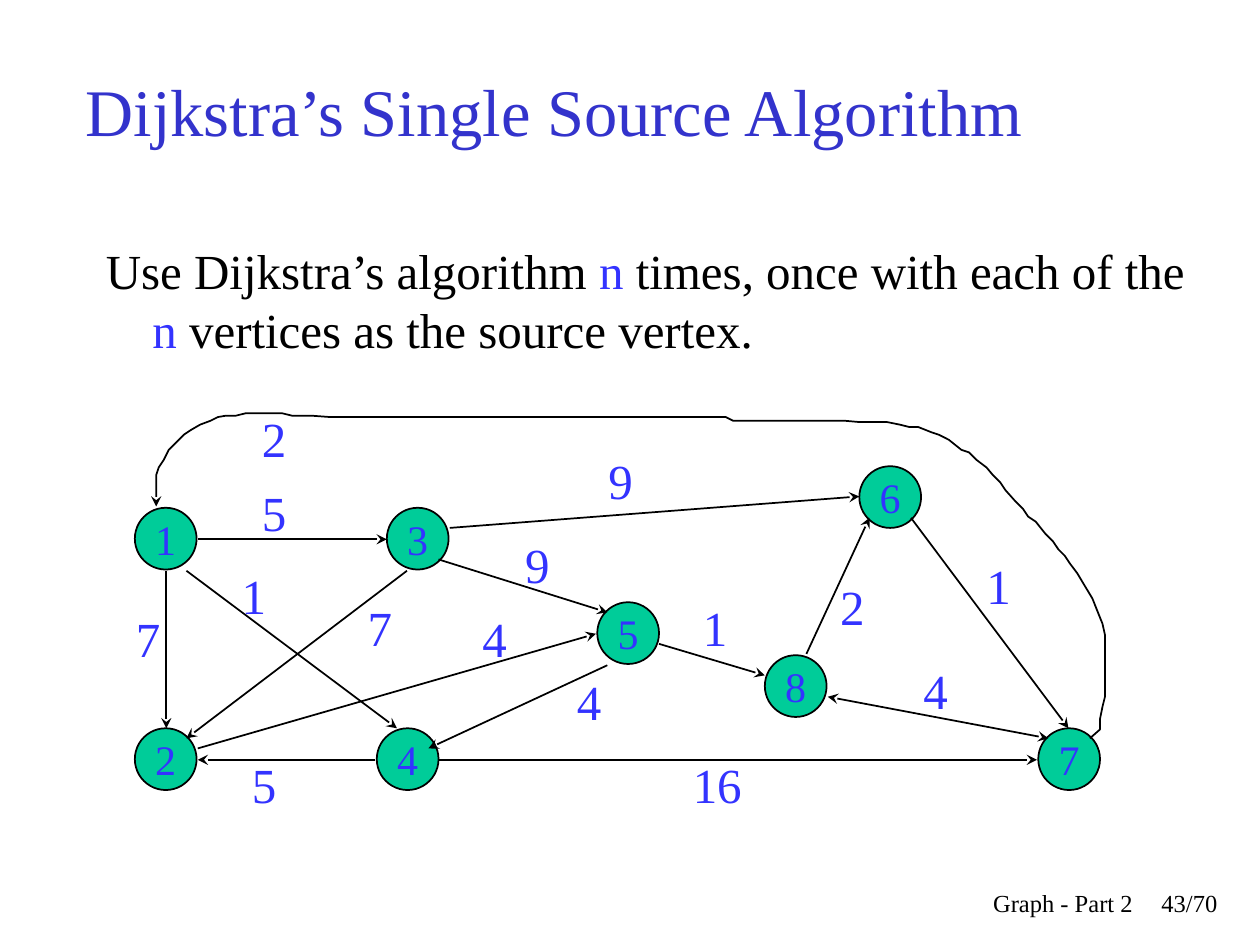
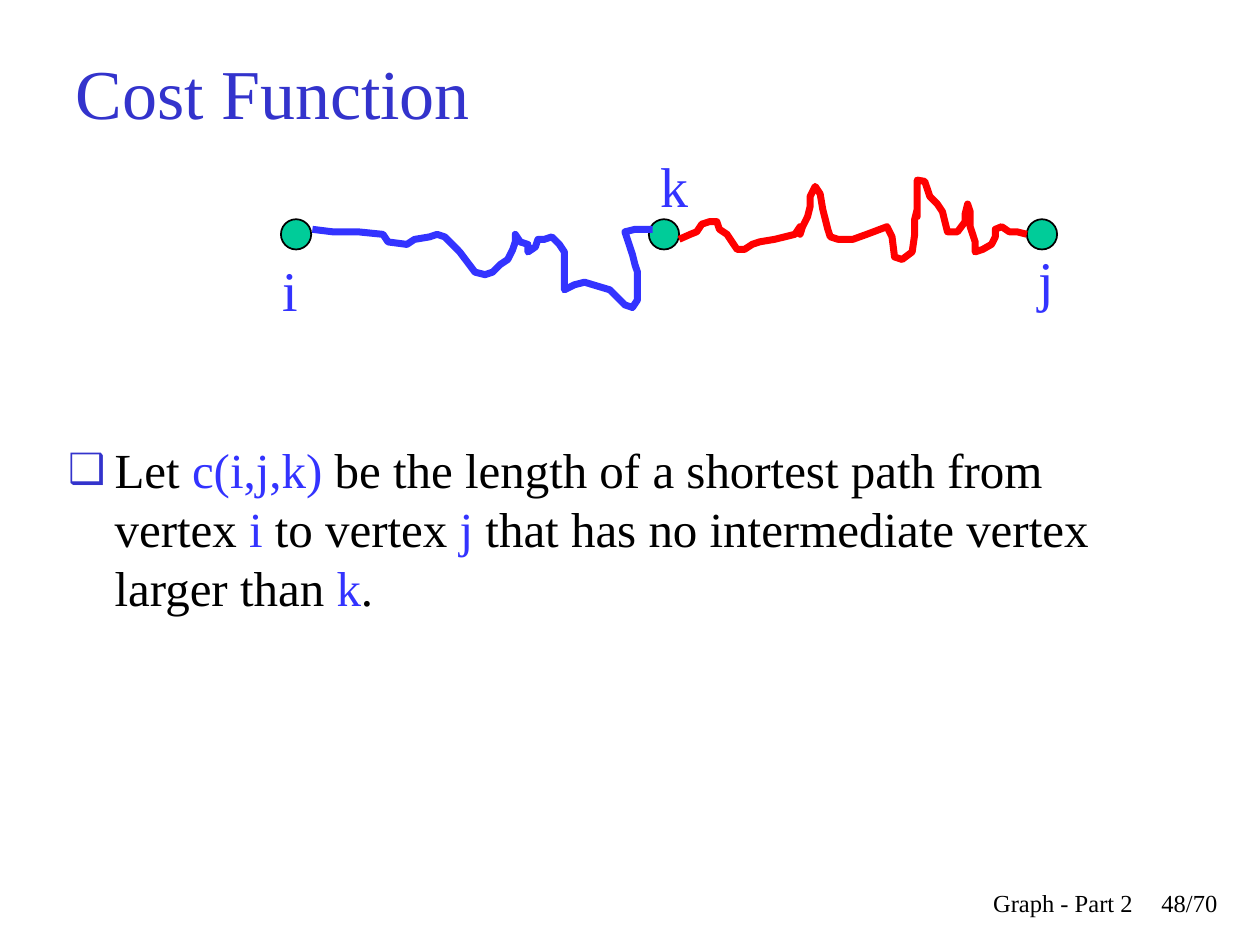
from itertools import cycle

from pptx import Presentation
from pptx.dml.color import RGBColor
from pptx.enum.shapes import MSO_CONNECTOR, MSO_SHAPE
from pptx.enum.text import MSO_ANCHOR, MSO_AUTO_SIZE, PP_ALIGN
from pptx.oxml.ns import qn
from pptx.oxml.xmlchemy import OxmlElement
from pptx.util import Inches, Pt

# Shared look
FONT = "Times New Roman"
BLACK = RGBColor(0x00, 0x00, 0x00)
TITLE_BLUE = RGBColor(0x33, 0x33, 0xCC)
BLUE = RGBColor(0x33, 0x33, 0xFF)
GREEN = RGBColor(0x00, 0xCC, 0x99)
RED = RGBColor(0xFF, 0x00, 0x00)
VERTEX_SIZE = 0.49
DOT_SIZE = 0.24

# Vertices of the graph: name -> left, top
VERTICES = {
    "1": (1.07, 4.03), "2": (1.07, 5.78), "3": (3.07, 4.03), "4": (2.99, 5.78),
    "5": (4.74, 4.78), "6": (6.82, 3.7), "7": (8.24, 5.78), "8": (6.07, 5.2),
}

# Edges: start, end, with the arrowhead at the end
EDGES = [
    ((1.32, 4.53), (1.32, 5.78)), ((2.98, 6.03), (1.57, 6.03)),
    ((1.57, 4.28), (3.07, 4.28)), ((1.48, 4.53), (3.15, 5.78)),
    ((3.23, 4.53), (1.48, 5.86)), ((3.48, 4.44), (4.82, 4.86)),
    ((1.57, 5.94), (4.73, 5.03)), ((4.82, 5.28), (3.4, 5.94)),
    ((3.48, 6.03), (8.23, 6.03)), ((5.23, 5.11), (6.07, 5.36)),
    ((3.57, 4.19), (6.82, 3.94)), ((7.23, 4.11), (8.48, 5.78)),
    ((6.4, 5.19), (6.9, 4.11)),
]
TWO_WAY_EDGE = ((6.57, 5.53), (8.32, 5.86))

# Edge weights: weight, left, top
WEIGHTS = [
    ("5", 1.98, 3.78), ("7", 0.98, 4.78), ("1", 1.82, 4.44), ("7", 2.82, 4.69),
    ("9", 4.73, 3.53), ("1", 5.48, 4.69), ("9", 4.07, 4.19), ("4", 3.73, 4.78),
    ("4", 4.48, 5.28), ("5", 1.9, 5.94), ("16", 5.4, 5.94), ("4", 7.23, 5.19),
    ("2", 1.98, 3.19), ("1", 7.73, 4.36), ("2", 6.57, 4.53),
]

# Curves, in hundredths of an inch
RETURN_EDGE = [
    (865, 586), (873, 579), (873, 571), (875, 561), (877, 553), (877, 504),
    (875, 495), (871, 485), (867, 475), (861, 465), (855, 455), (849, 447),
    (845, 441), (840, 436), (836, 430), (830, 424), (822, 414), (816, 410),
    (812, 404), (806, 398), (798, 389), (794, 383), (788, 377), (783, 371),
    (775, 365), (769, 359), (763, 357), (753, 349), (745, 345), (739, 343),
    (729, 339), (722, 339), (714, 337), (704, 335), (682, 335), (671, 334),
    (582, 334), (576, 331), (262, 331), (248, 330), (232, 330), (224, 328),
    (195, 328), (187, 330), (179, 330), (173, 331), (167, 334), (159, 337),
    (152, 341), (146, 345), (140, 351), (134, 357), (130, 365), (126, 371),
    (124, 377), (124, 402),
]
PATH_I_TO_K = [
    (248, 182), (264, 184), (284, 184), (304, 186), (308, 192), (323, 194),
    (329, 190), (341, 188), (347, 186), (353, 188), (365, 200), (377, 216),
    (385, 218), (391, 216), (397, 210), (403, 206), (407, 198), (409, 192),
    (409, 186), (413, 192), (419, 194), (419, 200), (425, 196), (427, 190),
    (432, 190), (438, 188), (444, 194), (448, 200), (448, 230), (456, 226),
    (464, 224), (484, 230), (496, 242), (502, 244), (506, 238), (506, 216),
    (504, 210), (502, 202), (498, 190), (496, 184), (504, 182), (518, 182),
]
PATH_K_TO_J = [
    (539, 190), (548, 186), (553, 184), (557, 178), (563, 176), (569, 176),
    (571, 182), (577, 186), (581, 192), (585, 198), (591, 198), (597, 194),
    (603, 192), (615, 190), (631, 186), (635, 180), (635, 186), (637, 180),
    (641, 172), (643, 164), (643, 156), (647, 148), (651, 154), (653, 166),
    (657, 182), (659, 188), (665, 190), (677, 190), (688, 186), (704, 180),
    (708, 188), (710, 204), (716, 206), (724, 200), (726, 186), (726, 174),
    (728, 166), (728, 172), (728, 143), (734, 144), (738, 156), (744, 162),
    (748, 168), (752, 184), (760, 184), (766, 176), (766, 170), (768, 162),
    (770, 168), (770, 180), (774, 192), (774, 200), (780, 198), (787, 194),
    (790, 188), (790, 182), (795, 180), (801, 184), (807, 184), (815, 186),
]


def set_format(target, values):
    for name, value in values.items():
        setattr(target, name, value)


def add_span(para, text, size, color):
    span = para.add_run()
    span.text = text
    set_format(span.font, {"name": FONT, "size": Pt(size)})
    span.font.color.rgb = color


def place(shape, left, top, width, height):
    set_format(shape, {"left": Inches(left), "top": Inches(top),
                       "width": Inches(width), "height": Inches(height)})


def add_page(deck, title, title_size, title_area, number):
    """Add a page with its title and footer."""
    page = deck.slides.add_slide(deck.slide_layouts[1])
    box = page.shapes.title
    place(box, *title_area)
    set_format(box.text_frame, {"auto_size": MSO_AUTO_SIZE.NONE, "word_wrap": True,
                                "vertical_anchor": MSO_ANCHOR.MIDDLE})
    para = box.text_frame.paragraphs[0]
    para.alignment = PP_ALIGN.LEFT
    add_span(para, title, title_size, TITLE_BLUE)
    add_text(page, number, (9.08, 7, 0.68, 0.5), 14, BLACK, PP_ALIGN.RIGHT)
    add_text(page, "Graph - Part 2", (5.92, 7, 3.17, 0.5), 14, BLACK, PP_ALIGN.RIGHT)
    return page


def add_text(page, text, area, size, color=BLUE, alignment=PP_ALIGN.LEFT):
    box = page.shapes.add_textbox(*map(Inches, area))
    box.text_frame.word_wrap = True
    para = box.text_frame.paragraphs[0]
    para.alignment = alignment
    add_span(para, text, size, color)


def fill_body(page, area, texts, bullet=None):
    """Write the body; its texts alternate between black and blue."""
    box = page.placeholders[1]
    place(box, *area)
    set_format(box.text_frame, {"auto_size": MSO_AUTO_SIZE.NONE, "word_wrap": True,
                                "vertical_anchor": MSO_ANCHOR.TOP})
    para = box.text_frame.paragraphs[0]
    set_format(para, {"alignment": PP_ALIGN.LEFT, "space_before": Pt(0)})
    for text, color in zip(texts, cycle((BLACK, BLUE))):
        add_span(para, text, 28, color)
    set_bullet(para, bullet)


def set_bullet(para, bullet):
    """Give the paragraph a hanging indent and a bullet, or none."""
    properties = para._p.get_or_add_pPr()
    properties.set("marL", str(Inches(0.38)))
    properties.set("indent", str(Inches(-0.37)))
    if bullet is None:
        properties.append(OxmlElement("a:buNone"))
        return
    bullet_color = OxmlElement("a:buClr")
    color = OxmlElement("a:srgbClr")
    color.set("val", str(TITLE_BLUE))
    bullet_color.append(color)
    bullet_size = OxmlElement("a:buSzPct")
    bullet_size.set("val", "85000")
    bullet_sign = OxmlElement("a:buChar")
    bullet_sign.set("char", bullet)
    for part in (bullet_color, bullet_size, bullet_sign):
        properties.append(part)


def add_circle(page, left, top, size, name=""):
    circle = page.shapes.add_shape(MSO_SHAPE.OVAL, *map(Inches, (left, top, size, size)))
    circle.shadow.inherit = False
    circle.fill.solid()
    circle.fill.fore_color.rgb = GREEN
    set_line(circle, BLACK, 1)
    if name:
        frame = circle.text_frame
        set_format(frame, {"margin_left": 0, "margin_right": 0, "margin_top": 0,
                           "margin_bottom": 0, "word_wrap": False,
                           "vertical_anchor": MSO_ANCHOR.MIDDLE})
        frame.paragraphs[0].alignment = PP_ALIGN.CENTER
        add_span(frame.paragraphs[0], name, 24, BLUE)


def set_line(shape, color, width, arrowheads=()):
    shape.line.color.rgb = color
    shape.line.width = Pt(width)
    outline = shape.element.spPr.find(qn("a:ln"))
    for end in arrowheads:
        arrowhead = OxmlElement(f"a:{end}")
        arrowhead.set("type", "stealth")
        outline.append(arrowhead)


def add_edge(page, start, end, arrowheads=("tailEnd",)):
    edge = page.shapes.add_connector(MSO_CONNECTOR.STRAIGHT, *map(Inches, start + end))
    set_line(edge, BLACK, 1, arrowheads)
    edge.element.spPr.append(OxmlElement("a:effectLst"))


def add_curve(page, points, color, width, arrowheads=()):
    builder = page.shapes.build_freeform(*points[0], scale=Inches(0.01))
    builder.add_line_segments(points[1:], close=False)
    curve = builder.convert_to_shape()
    curve.shadow.inherit = False
    curve.fill.background()
    set_line(curve, color, width, arrowheads)


def build_graph_page(deck):
    page = add_page(deck, "Dijkstra’s Single Source Algorithm", 38,
                    (0.58, 0.25, 8.5, 1.25), "43/70")
    fill_body(page, (0.73, 1.86, 8.83, 1.25),
              ["Use Dijkstra’s algorithm ", "n", " times, once with each of the ",
               "n", " vertices as the source vertex."])
    for name, (left, top) in VERTICES.items():
        add_circle(page, left, top, VERTEX_SIZE, name)
    for start, end in EDGES:
        add_edge(page, start, end)
    add_edge(page, *TWO_WAY_EDGE, ("headEnd", "tailEnd"))
    add_curve(page, RETURN_EDGE, BLACK, 1, ("tailEnd",))
    for weight, left, top in WEIGHTS:
        add_text(page, weight, (left, top, 0.42 * len(weight), 0.57), 28)


def build_cost_page(deck):
    page = add_page(deck, "Cost Function", 40, (0.5, 0.3, 9, 0.85), "48/70")
    fill_body(page, (0.43, 3.44, 8.92, 2),
              ["Let ", "c(i,j,k)", " be the length of a shortest path from vertex",
               " i ", "to vertex", " j", " that has no intermediate vertex larger than ",
               "k", "."], "❑")
    for left in (2.23, 5.15, 8.15):
        add_circle(page, left, 1.74, DOT_SIZE)
    add_curve(page, PATH_I_TO_K, BLUE, 4)
    add_curve(page, PATH_K_TO_J, RED, 4)
    for name, left, top in (("i", 2.14, 1.98), ("j", 8.14, 1.9), ("k", 5.14, 1.15)):
        add_text(page, name, (left, top, 0.25, 0.63), 32)


def main():
    deck = Presentation()
    set_format(deck, {"slide_width": Inches(10), "slide_height": Inches(7.5)})
    build_graph_page(deck)
    build_cost_page(deck)
    deck.save("out.pptx")


if __name__ == "__main__":
    main()
